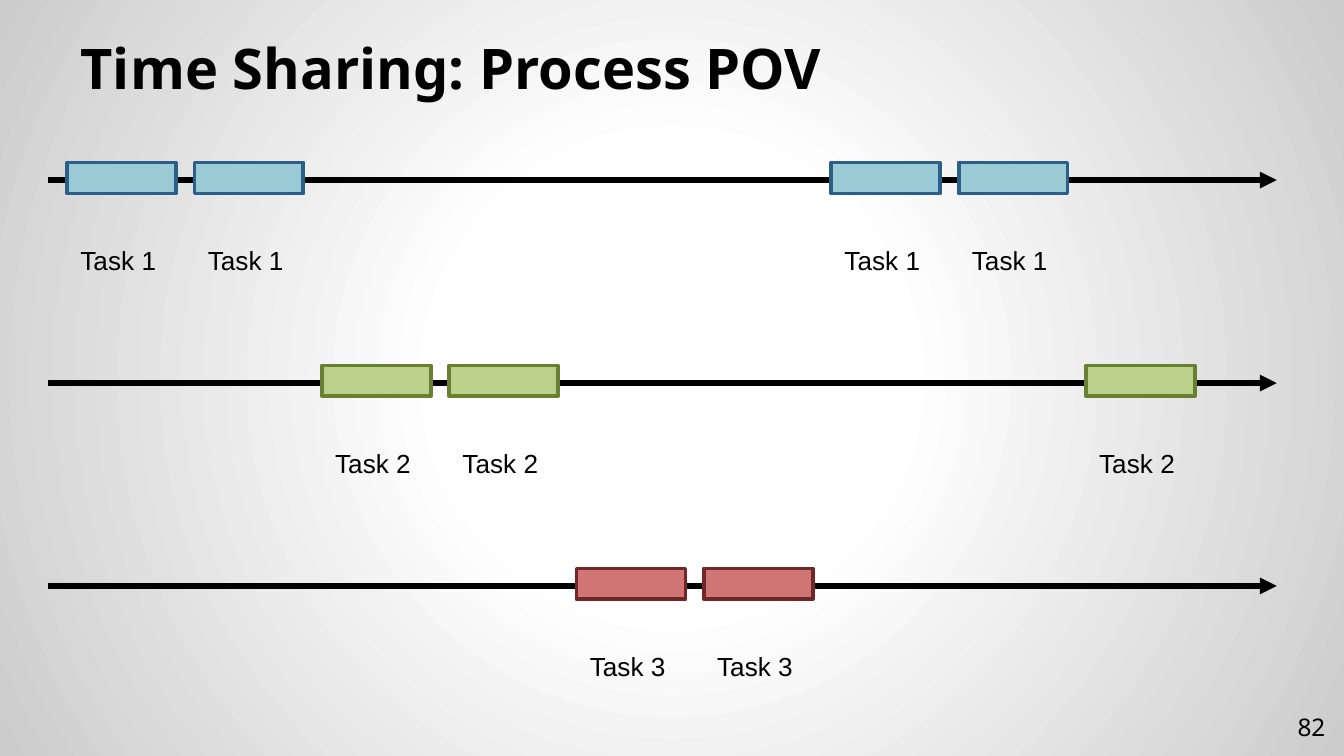
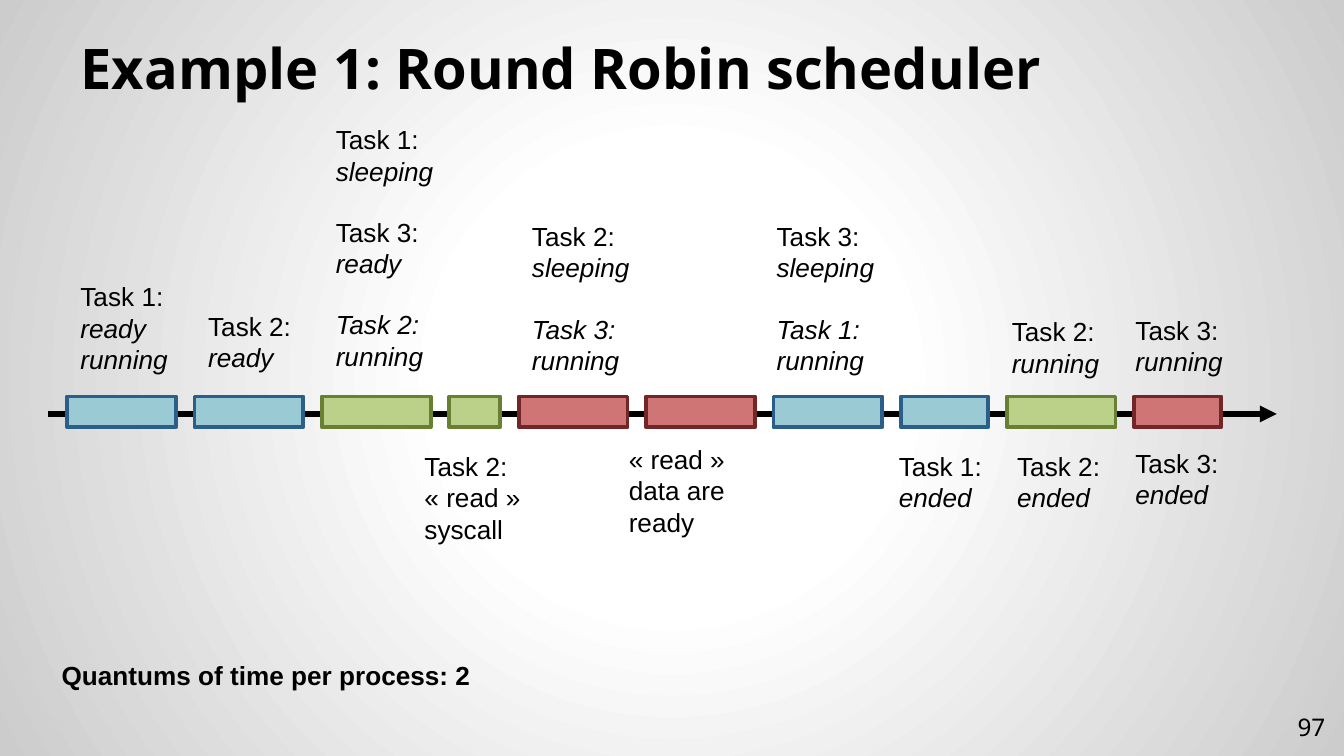
from pptx import Presentation
from pptx.dml.color import RGBColor
from pptx.enum.shapes import MSO_CONNECTOR, MSO_SHAPE
from pptx.enum.text import MSO_ANCHOR, MSO_AUTO_SIZE, PP_ALIGN
from pptx.oxml import parse_xml
from pptx.oxml.ns import nsdecls, qn
from pptx.util import Inches, Pt

RECT, LINE = MSO_SHAPE.RECTANGLE, MSO_CONNECTOR.STRAIGHT
TOP, MID, BOTTOM = MSO_ANCHOR.TOP, MSO_ANCHOR.MIDDLE, MSO_ANCHOR.BOTTOM
FIXED, GROW = MSO_AUTO_SIZE.NONE, MSO_AUTO_SIZE.SHAPE_TO_FIT_TEXT
LEFT, RIGHT = PP_ALIGN.LEFT, PP_ALIGN.RIGHT

BLACK = RGBColor(0x00, 0x00, 0x00)
TASKS = {  # fill and outline of each task
    1: (RGBColor(0x9A, 0xCA, 0xD3), RGBColor(0x2B, 0x5F, 0x8A)),
    2: (RGBColor(0xBB, 0xD1, 0x89), RGBColor(0x68, 0x80, 0x31)),
    3: (RGBColor(0xD0, 0x75, 0x76), RGBColor(0x71, 0x26, 0x27)),
}

HEAD = {"name": "Noto Sans", "size": Pt(30), "bold": True}
PAGE = {"name": "Noto Sans", "size": Pt(13)}
BODY = {"name": "Arial", "size": Pt(14)}

START = 0.5
FULL = 0.81  # width of a whole quantum
PITCH = 7.58 / 8
GAP = PITCH - FULL
ROW = 0.235  # height of a body line

BACK = f"""<p:bg {nsdecls("p", "a")}><p:bgPr><a:gradFill rotWithShape="1"><a:gsLst>
<a:gs pos="0"><a:srgbClr val="FFFFFF"/></a:gs>
<a:gs pos="30000"><a:srgbClr val="FFFFFF"/></a:gs>
<a:gs pos="100000"><a:srgbClr val="CCCCCC"/></a:gs></a:gsLst>
<a:path path="circle"><a:fillToRect l="50000" t="50000" r="50000" b="50000"/></a:path>
</a:gradFill><a:effectLst/></p:bgPr></p:bg>"""


def apply(target, values):
    for key, value in values.items():
        setattr(target, key, value)


def place(left, top, width, height):
    return [Inches(x) for x in (left, top, width, height)]


class Deck:
    def __init__(self):
        self.prs = Presentation()
        apply(self.prs, {"slide_width": Inches(10), "slide_height": Inches(5.625)})
        root = self.prs.slide_master.element.cSld
        for old in root.findall(qn("p:bg")):
            root.remove(old)
        root.insert(0, parse_xml(BACK))

    def start(self, title, page):
        """Add a slide with its title and page number."""
        self.slide = self.prs.slides.add_slide(self.prs.slide_layouts[5])
        head = self.slide.shapes.title
        box = place(0.5, 0.23, 9, 0.62)
        apply(head, dict(zip(("left", "top", "width", "height"), box)))
        self.fill(head, [title], HEAD, anchor=BOTTOM, inset=0.1)
        num = self.slide.shapes.add_textbox(*place(9.36, 5.19, 0.6, 0.43))
        self.fill(num, [page], PAGE, anchor=MID, inset=0.1, align=RIGHT)

    def fill(self, shape, lines, style, anchor=TOP, inset=0.05, align=LEFT, size=FIXED):
        frame = shape.text_frame
        apply(frame, {"word_wrap": True, "auto_size": size, "vertical_anchor": anchor,
                      "margin_left": Inches(0.1), "margin_right": Inches(0.1),
                      "margin_top": Inches(inset), "margin_bottom": Inches(inset)})
        frame.text = "\n".join(lines)
        for para in frame.paragraphs:
            para.alignment = align
            apply(para.runs[0].font, style)
            para.runs[0].font.color.rgb = BLACK
        return frame.paragraphs

    def text(self, left, top, width, lines, rows=1, **extra):
        box = place(left, top, width, 0.1 + ROW * rows)
        shape = self.slide.shapes.add_textbox(*box)
        return self.fill(shape, lines, BODY | extra, size=GROW)

    def note(self, left, top, width, *groups):
        """List tasks with their states in italics; a closing task is italic too."""
        lines = [line for group in groups for line in group]
        paras = iter(self.text(left, top, width, lines, len(lines) + len(groups) - 1))
        for i, group in enumerate(groups):
            for j, para in enumerate(next(paras) for _ in group):
                if i and j == 0:
                    para.space_before = Pt(16)
                para.runs[0].font.italic = j > 0 or 0 < i == len(groups) - 1

    def axis(self, y):
        ends = [Inches(x) for x in (0.36, y, 9.5, y)]
        line = self.slide.shapes.add_connector(LINE, *ends)
        line.line.width = Pt(3)
        line.line.color.rgb = BLACK
        line.line._get_or_add_ln().append(
            parse_xml(f'<a:tailEnd {nsdecls("a")} type="triangle"/>'))
        line._element.spPr.append(parse_xml(f'<a:effectLst {nsdecls("a")}/>'))

    def slot(self, task, left, y, width=FULL):
        """Draw a task's time slot on the axis at height y."""
        shape = self.slide.shapes.add_shape(RECT, *place(left, y - 0.13, width, 0.23))
        shape.shadow.inherit = False
        face, edge = TASKS[task]
        shape.fill.solid()
        shape.fill.fore_color.rgb = face
        shape.line.color.rgb = edge
        shape.line.width = Pt(2)


def share(deck):
    deck.start("Time Sharing: Process POV", "82")
    turns = {1: (0, 1, 6, 7), 2: (2, 3, 8), 3: (4, 5)}
    for row, (task, slots) in enumerate(turns.items()):
        y = 1.34 + 1.51 * row
        deck.axis(y)
        for i in slots:
            left = START + PITCH * i
            deck.slot(task, left, y)
            deck.text(left, y + 0.43, FULL, [f"Task {task}"])


def robin(deck):
    deck.start("Example 1: Round Robin scheduler", "97")
    y, left = 3.08, START
    deck.axis(y)
    turns = [(1, FULL), (1, FULL), (2, FULL), (2, 0.38), (3, FULL),
             (3, FULL), (1, FULL), (1, 0.65), (2, FULL), (3, 0.65)]
    for task, width in turns:
        deck.slot(task, left, y, width)
        left += width + GAP

    one, two, three = (f"Task {n}:" for n in TASKS)
    above = [
        (0.5, 2.04, [(one, "ready", "running")]),
        (1.45, 2.26, [(two, "ready")]),
        (2.4, 0.87, [(one, "sleeping"), (three, "ready"), (two, "running")]),
        (3.86, 1.59, [(two, "sleeping"), (three, "running")]),
        (5.68, 1.59, [(three, "sleeping"), (one, "running")]),
        (7.43, 2.3, [(two, "running")]),
        (8.35, 2.29, [(three, "running")]),
    ]
    for left, top, groups in above:
        deck.note(left, top, 0.95, *groups)
    for left, top, task in ((6.59, 3.3, one), (7.47, 3.3, two), (8.35, 3.28, three)):
        deck.note(left, top, 0.86, (task, "ended"))
    deck.text(3.06, 3.3, 0.95, [two, "« read » syscall"], 3)
    deck.text(4.58, 3.25, 0.95, ["« read » data are ready"], 3)
    deck.text(0.36, 4.86, 3.36, ["Quantums of time per process: 2"], bold=True)


def main():
    deck = Deck()
    share(deck)
    robin(deck)
    deck.prs.save("out.pptx")


if __name__ == "__main__":
    main()
